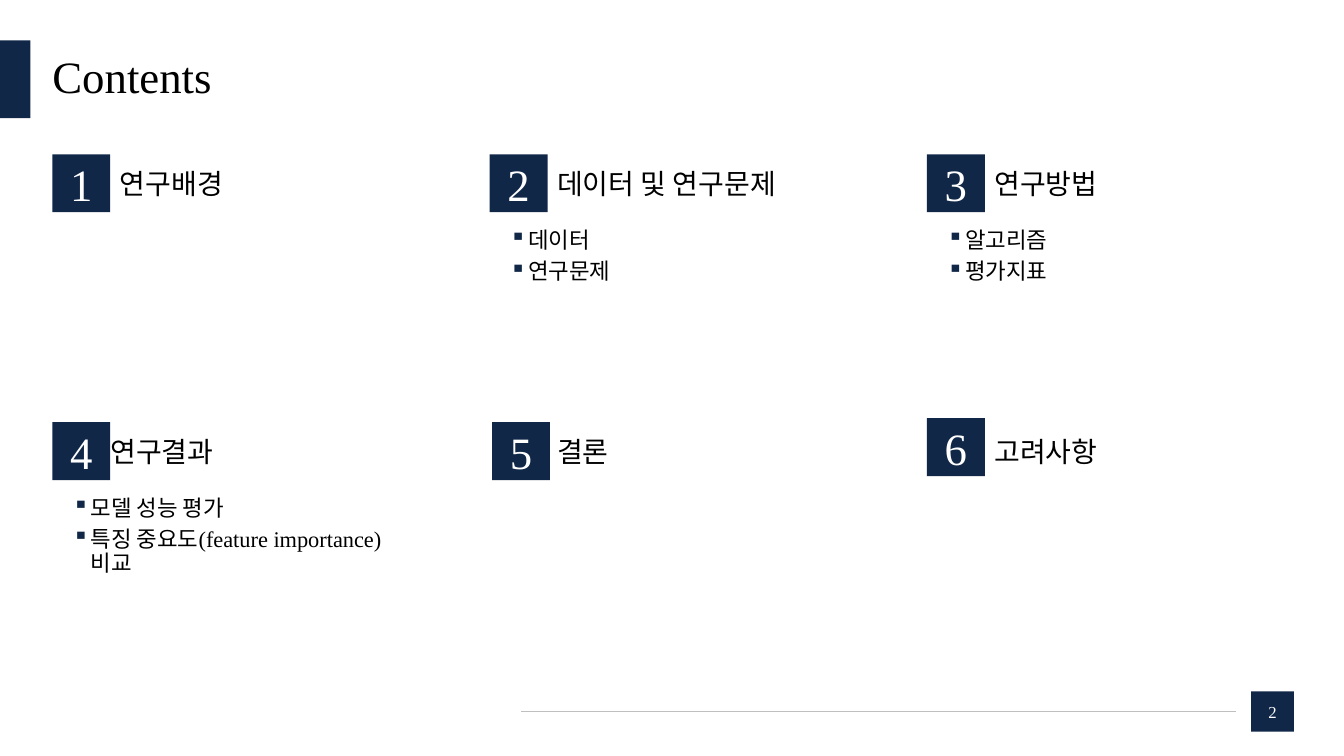
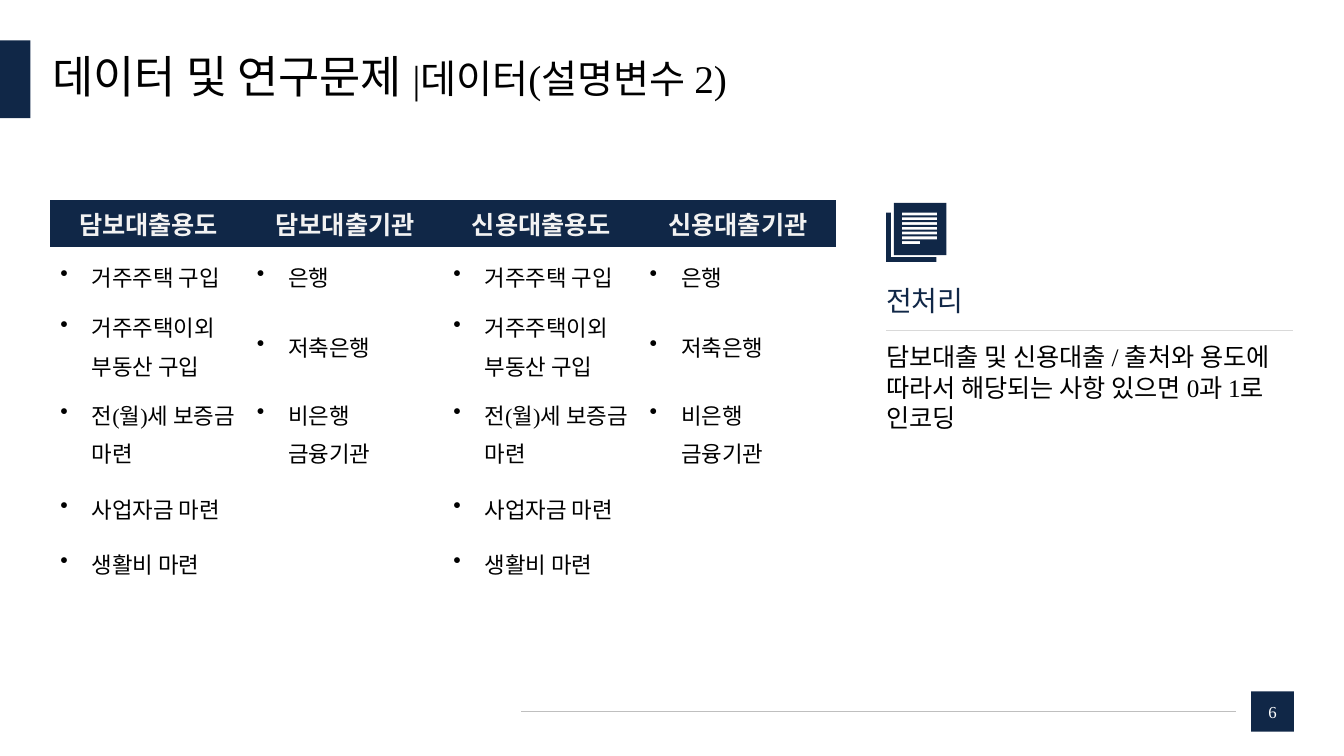
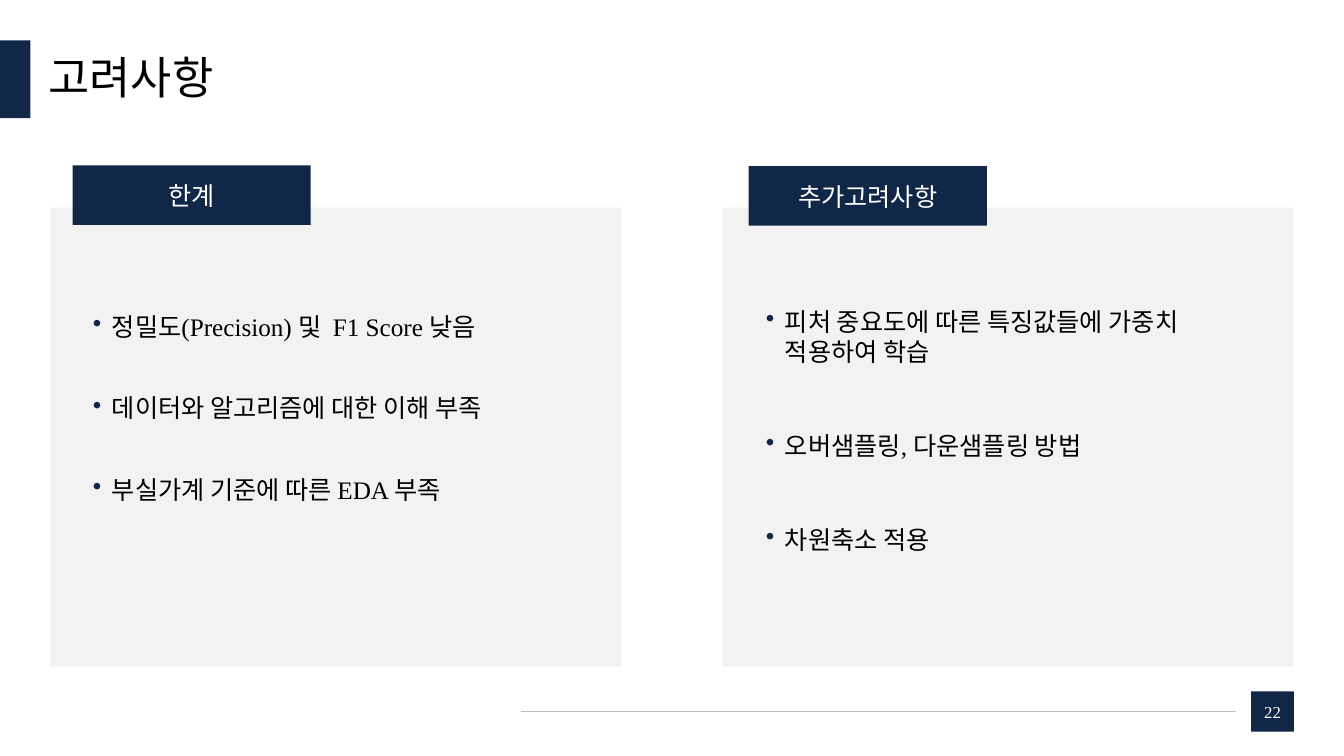
from dataclasses import dataclass
from typing import Optional

from lxml import etree
from pptx import Presentation
from pptx.dml.color import RGBColor
from pptx.enum.shapes import MSO_CONNECTOR, MSO_SHAPE
from pptx.enum.text import MSO_ANCHOR, MSO_AUTO_SIZE, PP_ALIGN
from pptx.oxml.ns import qn
from pptx.util import Cm, Pt

RECTANGLE = MSO_SHAPE.RECTANGLE
STRAIGHT = MSO_CONNECTOR.STRAIGHT
MIDDLE = MSO_ANCHOR.MIDDLE
TOP = MSO_ANCHOR.TOP
LEFT = PP_ALIGN.LEFT
CENTER = PP_ALIGN.CENTER
NO_AUTOFIT = MSO_AUTO_SIZE.NONE

FONT = "Times New Roman"
NAVY = "102747"
BLACK = "000000"
WHITE = "FFFFFF"
PALE_GRAY = "F2F2F2"
RULE_GRAY = "D9D9D9"
FOOTER_GRAY = "BFBFBF"
PLAIN_TABLE_STYLE = "{2D5ABB26-0587-4C30-8999-92F81FD0307C}"
DEFAULT_INSETS = (0.25, 0.13)
NO_INSETS = (0, 0)


@dataclass(frozen=True)
class Box:
    left: float
    top: float
    width: float
    height: float

    def lengths(self) -> tuple:
        return Cm(self.left), Cm(self.top), Cm(self.width), Cm(self.height)


@dataclass(frozen=True)
class Bullet:
    character: str
    margin: float
    hanging: float
    color: str = NAVY


@dataclass(frozen=True)
class Section:
    label: str
    items: tuple = ()
    label_width: float = 3.68
    label_shift: float = 0
    badge_shift: tuple = (0, 0)


@dataclass(frozen=True)
class Panel:
    left: float
    tab: Box
    heading: str
    list_box: Box
    items: tuple
    line_spacing: float
    gap: float


TITLE_BOX = Box(1.32, 1.02, 31.27, 1.96)
TITLE_BAND = Box(0, 1.02, 0.77, 1.96)
PAGE_BOX = Box(31.53, 17.42, 1.08, 1.02)

CONTENT_BULLET = Bullet("▪", 0.97, 0.46)
TABLE_BULLET = Bullet("•", 0.79, 0.79, BLACK)
PANEL_BULLET = Bullet("•", 0.48, 0.48)

SECTIONS = (
    Section("연구배경"),
    Section("데이터 및 연구문제", ("데이터", "연구문제"), label_width=7.34),
    Section("연구방법", ("알고리즘", "평가지표")),
    Section("연구결과", ("모델 성능 평가", "특징 중요도(feature importance) 비교"),
            label_shift=-0.24),
    Section("결론", badge_shift=(0.06, 0)),
    Section("고려사항", label_width=5.92, badge_shift=(0, -0.1)),
)

LOAN_PURPOSES = ("거주주택 구입", "거주주택이외 부동산 구입", "전(월)세 보증금 마련",
                 "사업자금 마련", "생활비 마련")
LENDERS = ("은행", "저축은행", "비은행 금융기관")
LOAN_COLUMNS = {
    "담보대출용도": LOAN_PURPOSES,
    "담보대출기관": LENDERS,
    "신용대출용도": LOAN_PURPOSES,
    "신용대출기관": LENDERS,
}
ROW_HEIGHTS = (1.07, 1.32, 1.95, 1.88, 1.55, 1.1)

PANELS = (
    Panel(1.27, Box(1.83, 4.17, 6, 1.5), "한계", Box(2.34, 7.92, 12.24, 6),
          ("정밀도(Precision) 및  F1 Score 낮음", "데이터와 알고리즘에 대한 이해 부족",
           "부실가계 기준에 따른 EDA 부족"), line_spacing=0.9, gap=39),
    Panel(18.21, Box(18.87, 4.19, 6, 1.5), "추가고려사항", Box(19.3, 7.72, 12.24, 6.3),
          ("피처 중요도에 따른 특징값들에 가중치 적용하여 학습", "오버샘플링, 다운샘플링 방법",
           "차원축소 적용"), line_spacing=1, gap=45.5),
)


def rgb(color: str) -> RGBColor:
    return RGBColor.from_string(color)


def add_run(paragraph, text: str, size: float, color: str, bold: bool = False) -> None:
    run = paragraph.add_run()
    run.text = text
    run.font.name = FONT
    run.font.size = Pt(size)
    run.font.bold = bold
    run.font.color.rgb = rgb(color)


def add_bullet(paragraph, bullet: Bullet) -> None:
    properties = paragraph._p.get_or_add_pPr()
    properties.set("marL", str(Cm(bullet.margin)))
    properties.set("indent", str(-Cm(bullet.hanging)))
    bullet_color = etree.SubElement(properties, qn("a:buClr"))
    etree.SubElement(bullet_color, qn("a:srgbClr")).set("val", bullet.color)
    etree.SubElement(properties, qn("a:buChar")).set("char", bullet.character)


def write_text(frame, *lines: str, size: float, color: str = BLACK, bold: bool = False,
               align=LEFT, line_spacing: float = 1, before: float = 0, after: float = 0,
               bullet: Optional[Bullet] = None) -> None:
    for index, line in enumerate(lines):
        paragraph = frame.add_paragraph() if index else frame.paragraphs[0]
        paragraph.alignment = align
        paragraph.line_spacing = line_spacing
        paragraph.space_before = Pt(before)
        paragraph.space_after = Pt(after)
        if bullet:
            add_bullet(paragraph, bullet)
        add_run(paragraph, line, size, color, bold)


def set_frame(frame, anchor, insets: tuple) -> None:
    frame.word_wrap = True
    frame.auto_size = NO_AUTOFIT
    frame.vertical_anchor = anchor
    frame.margin_left = frame.margin_right = Cm(insets[0])
    frame.margin_top = frame.margin_bottom = Cm(insets[1])


def add_text(slide, box: Box, *lines: str, insets: tuple = NO_INSETS, **text_format) -> None:
    frame = slide.shapes.add_textbox(*box.lengths()).text_frame
    set_frame(frame, TOP, insets)
    write_text(frame, *lines, **text_format)


def paint(shape, color: str) -> None:
    shape.shadow.inherit = False
    shape.fill.solid()
    shape.fill.fore_color.rgb = rgb(color)
    shape.line.fill.background()


def add_rectangle(slide, box: Box, color: str = NAVY, text: str = "", size: float = 18,
                  insets: tuple = DEFAULT_INSETS) -> None:
    shape = slide.shapes.add_shape(RECTANGLE, *box.lengths())
    paint(shape, color)
    if text:
        set_frame(shape.text_frame, MIDDLE, insets)
        write_text(shape.text_frame, text, size=size, color=WHITE, align=CENTER)


def add_rule(slide, left: float, right: float, top: float, color: str) -> None:
    rule = slide.shapes.add_connector(STRAIGHT, Cm(left), Cm(top), Cm(right), Cm(top))
    rule.line.color.rgb = rgb(color)
    rule.line.width = Pt(0.5)
    etree.SubElement(rule._element.spPr, qn("a:effectLst"))


def add_slide(presentation, page: str, title: str, subtitle: str = "",
              title_box: Box = TITLE_BOX):
    slide = presentation.slides.add_slide(presentation.slide_layouts[5])
    placeholder = slide.shapes.title
    placeholder.left, placeholder.top, placeholder.width, placeholder.height = title_box.lengths()
    frame = placeholder.text_frame
    set_frame(frame, MIDDLE, NO_INSETS)
    write_text(frame, title, size=32, line_spacing=0.9)
    if subtitle:
        add_run(frame.paragraphs[0], subtitle, 28, BLACK)
    add_rectangle(slide, TITLE_BAND)
    add_rectangle(slide, PAGE_BOX, text=page, size=12)
    add_rule(slide, 13.14, 31.15, 17.93, FOOTER_GRAY)
    return slide


def add_section(slide, index: int, section: Section) -> None:
    row, column = divmod(index, 3)
    left = 1.32 + column * 11.02
    top = 3.89 + row * 6.75
    shift_x, shift_y = section.badge_shift
    badge = Box(left + shift_x, top + shift_y, 1.46, 1.46)
    add_rectangle(slide, badge, text=str(index + 1), size=32, insets=NO_INSETS)
    label_box = Box(left + 1.45 + section.label_shift, top + 0.18, section.label_width, 1.12)
    add_text(slide, label_box, section.label, size=20, insets=DEFAULT_INSETS)
    if section.items:
        add_text(slide, Box(left, top + 1.88, 9.25, 1.4), *section.items, size=16,
                 line_spacing=0.9, before=5, bullet=CONTENT_BULLET)


def add_loan_table(slide) -> None:
    box = Box(1.27, 5.05, 19.8, sum(ROW_HEIGHTS))
    frame = slide.shapes.add_table(len(ROW_HEIGHTS), len(LOAN_COLUMNS), *box.lengths())
    table = frame.table
    table.horz_banding = False
    table._tbl.tblPr.find(qn("a:tableStyleId")).text = PLAIN_TABLE_STYLE
    for row, height in zip(table.rows, ROW_HEIGHTS):
        row.height = Cm(height)
    for cell in table.iter_cells():
        cell.fill.background()
        cell.vertical_anchor = MIDDLE
    for column, (heading, entries) in enumerate(LOAN_COLUMNS.items()):
        header = table.cell(0, column)
        header.fill.solid()
        header.fill.fore_color.rgb = rgb(NAVY)
        write_text(header.text_frame, heading, size=18, color=PALE_GRAY, bold=True, align=CENTER)
        for row, entry in enumerate(entries, start=1):
            write_text(table.cell(row, column).text_frame, entry, size=16, line_spacing=1.2,
                       bullet=TABLE_BULLET)


def rectangle_points(left: int, top: int, right: int, bottom: int) -> list:
    return [(left, top), (right, top), (right, bottom), (left, bottom)]


def add_outline(slide, *contours: list) -> None:
    builder = slide.shapes.build_freeform(*contours[0][0], scale=Cm(0.01))
    builder.add_line_segments(contours[0][1:], close=True)
    for contour in contours[1:]:
        builder.move_to(*contour[0])
        builder.add_line_segments(contour[1:], close=True)
    paint(builder.convert_to_shape(), NAVY)


def add_document_icon(slide) -> None:
    add_outline(slide, [(2233, 536), (2245, 536), (2245, 648), (2360, 648),
                        (2360, 660), (2233, 660)])
    text_lines = []
    for index in range(7):
        top = 536 + index * 12
        right = 2319 if index == 6 else 2362
        text_lines.append(rectangle_points(2273, top, right, top + 7))
    add_outline(slide, rectangle_points(2253, 511, 2385, 643), *text_lines)


def add_panel(slide, panel: Panel) -> None:
    add_rectangle(slide, Box(panel.left, 5.23, 14.38, 11.57), PALE_GRAY)
    add_rectangle(slide, panel.tab, text=panel.heading)
    add_text(slide, panel.list_box, *panel.items, size=18, line_spacing=panel.line_spacing,
             after=panel.gap, bullet=PANEL_BULLET)


def build_contents(presentation) -> None:
    slide = add_slide(presentation, "2", "Contents")
    for index, section in enumerate(SECTIONS):
        add_section(slide, index, section)


def build_variables(presentation) -> None:
    slide = add_slide(presentation, "6", "데이터 및 연구문제 ", "|데이터(설명변수 2)")
    add_loan_table(slide)
    add_document_icon(slide)
    add_text(slide, Box(22.33, 7.14, 10.26, 0.86), "전처리", size=20, color=NAVY)
    add_rule(slide, 22.33, 32.59, 8.33, RULE_GRAY)
    add_text(slide, Box(22.33, 8.61, 10.26, 2.31),
             "담보대출 및 신용대출 / 출처와 용도에 따라서 해당되는 사항 있으면 0과 1로 인코딩",
             size=18)


def build_considerations(presentation) -> None:
    slide = add_slide(presentation, "22", "고려사항", title_box=Box(1.22, 1.04, 31.27, 1.96))
    for panel in PANELS:
        add_panel(slide, panel)


def main() -> None:
    presentation = Presentation()
    presentation.slide_width = Cm(33.87)
    presentation.slide_height = Cm(19.05)
    build_contents(presentation)
    build_variables(presentation)
    build_considerations(presentation)
    presentation.save("out.pptx")


if __name__ == "__main__":
    main()
